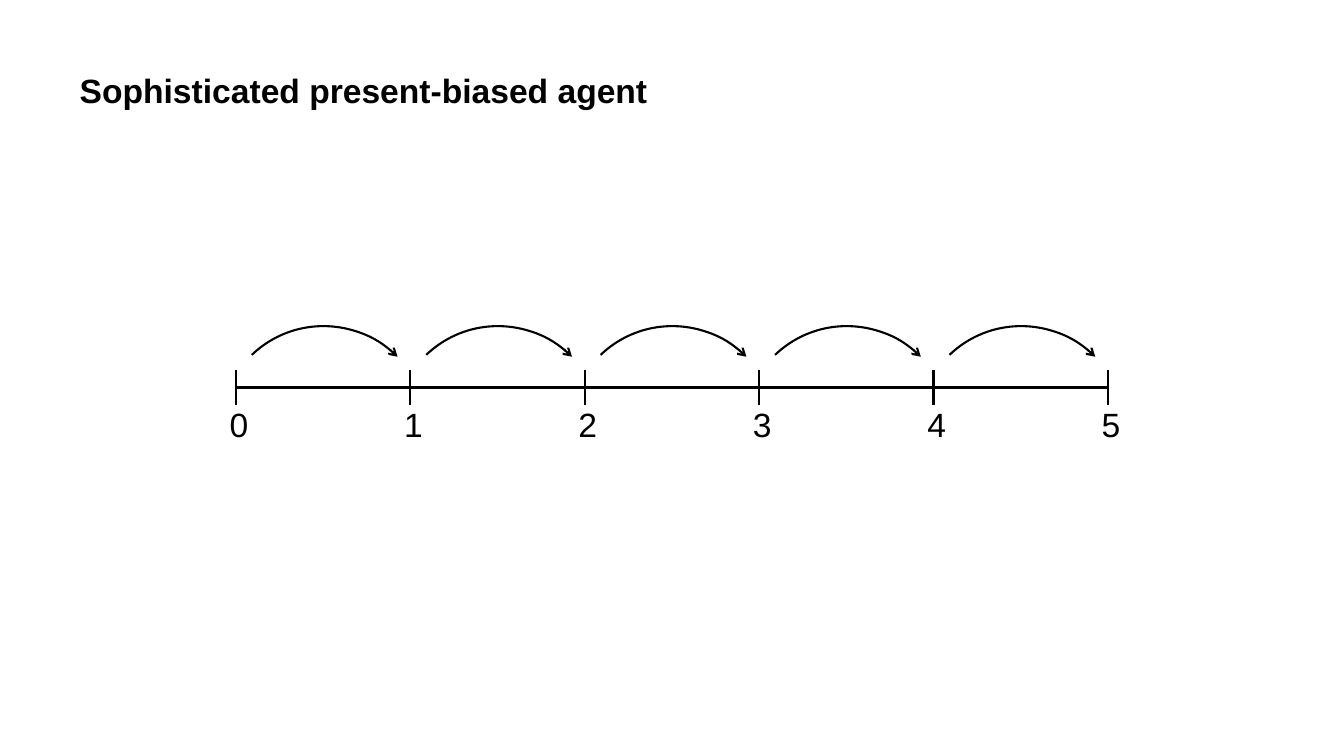
import collections
import pptx
import pptx.dml.color
import pptx.enum.shapes
import pptx.enum.text
import pptx.oxml
import pptx.oxml.ns
import pptx.util

Box = collections.namedtuple("Box", "x y w h")


class Theme:
    ink = pptx.dml.color.RGBColor(0, 0, 0)
    font = "Arial"
    size = pptx.util.Pt(24)
    line = pptx.util.Pt(1.5)


deck = pptx.Presentation()
deck.slide_width = pptx.util.Inches(13.33)
deck.slide_height = pptx.util.Inches(7.5)


def cols(n):
    return round(deck.slide_width * n / 100)


def rows(n):
    return round(deck.slide_height * n / 100)


def place(box):
    return cols(box.x), rows(box.y), cols(box.w), rows(box.h)


def write(shape, text, bold=False, anchor="TOP", space=None, right=0.1):
    frame = shape.text_frame
    frame.word_wrap = True
    frame.margin_right = pptx.util.Inches(right)
    frame.vertical_anchor = getattr(pptx.enum.text.MSO_ANCHOR, anchor)
    para = frame.paragraphs[0]
    para.text = text
    para.alignment = pptx.enum.text.PP_ALIGN.LEFT
    para.line_spacing = space
    font = para.runs[0].font
    font.name, font.size, font.bold = Theme.font, Theme.size, bold
    font.color.rgb = Theme.ink


def ink(shape):
    shape.line.color.rgb = Theme.ink
    shape.line.width = Theme.line


def rule(slide, x1, y1, x2, y2):
    line = slide.shapes.add_connector(
        pptx.enum.shapes.MSO_CONNECTOR.STRAIGHT, cols(x1), rows(y1), cols(x2), rows(y2))
    ink(line)
    props = line._element.spPr
    props.append(pptx.oxml.parse_xml("<a:effectLst %s/>" % pptx.oxml.ns.nsdecls("a")))


def hop(slide, box):
    arc = slide.shapes.add_shape(pptx.enum.shapes.MSO_SHAPE.ARC, *place(box))
    arc.adjustments[0], arc.adjustments[1] = 162, 215.2
    arc.rotation = 316.1
    arc.shadow.inherit = False
    arc.fill.background()
    ink(arc)
    arc.line._get_or_add_ln().append(
        pptx.oxml.parse_xml('<a:tailEnd type="arrow" %s/>' % pptx.oxml.ns.nsdecls("a")))


def head(slide, box, text):
    title = slide.shapes.title
    title.left, title.top, title.width, title.height = place(box)
    write(title, text, bold=True, anchor="BOTTOM", space=0.9)


def scale(slide, box, count):
    step = box.w / count
    mid = box.y + box.h / 2
    rule(slide, box.x, mid, box.x + box.w, mid)
    for i in range(count + 1):
        x = box.x + i * step
        rule(slide, x, box.y, x, box.y + box.h)
        label = slide.shapes.add_textbox(*place(Box(x - 1.2, mid + 1.53, 2.25, 6.67)))
        write(label, str(i), right=0)
        if i < count:
            hop(slide, Box(x - 1.13, mid - 8.2, 15.45, 27.73))


def main():
    slide = deck.slides.add_slide(deck.slide_layouts[5])
    head(slide, Box(5.18, 8.53, 84.7, 6.8), "Sophisticated present-biased agent")
    scale(slide, Box(17.55, 48.93, 64.89, 4.67), 5)
    deck.save("out.pptx")


if __name__ == "__main__":
    main()
